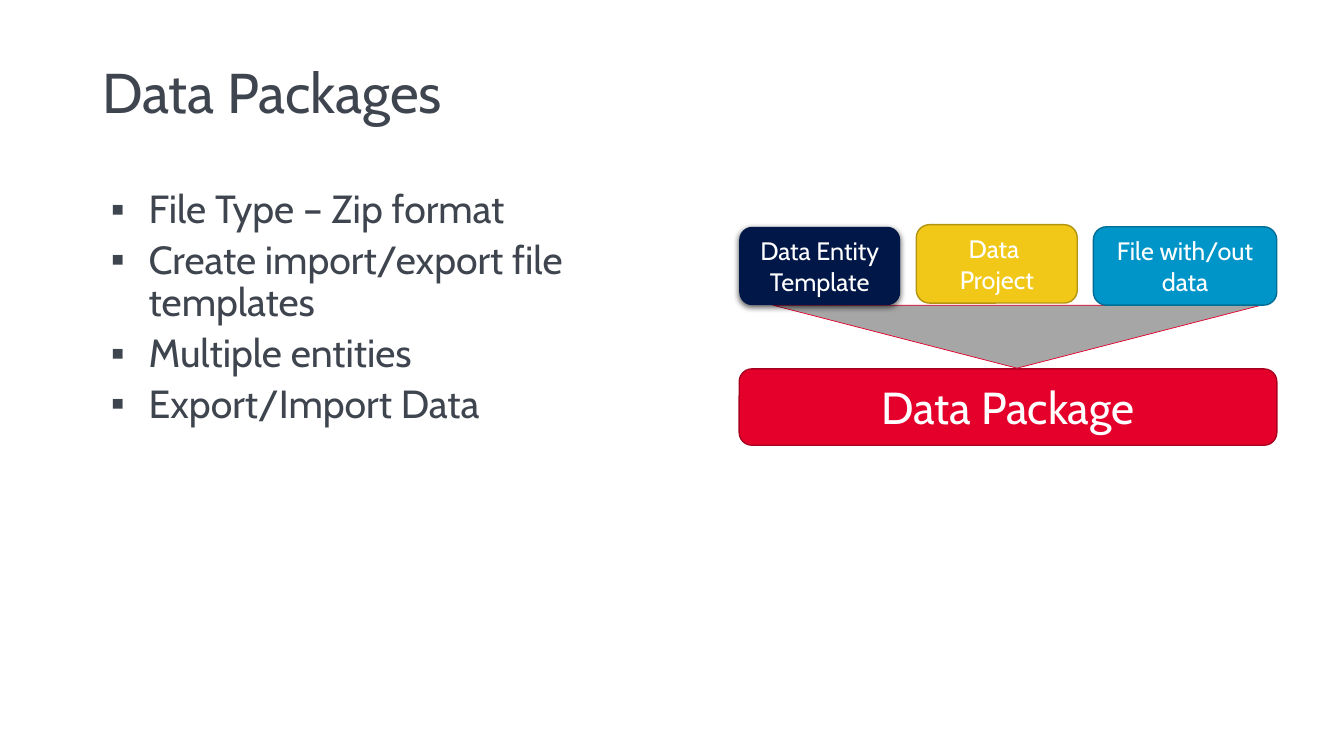
from dataclasses import dataclass

from lxml import etree
from pptx import Presentation
from pptx.dml.color import RGBColor
from pptx.enum.shapes import MSO_SHAPE
from pptx.enum.text import MSO_ANCHOR, MSO_AUTO_SIZE, PP_ALIGN
from pptx.oxml.ns import qn
from pptx.util import Pt

ROUNDED = MSO_SHAPE.ROUNDED_RECTANGLE
TRIANGLE = MSO_SHAPE.ISOSCELES_TRIANGLE
MIDDLE, TOP = MSO_ANCHOR.MIDDLE, MSO_ANCHOR.TOP
LEFT, CENTER = PP_ALIGN.LEFT, PP_ALIGN.CENTER
NO_AUTOSIZE = MSO_AUTO_SIZE.NONE


@dataclass(frozen=True)
class Theme:
    font: str = "Cabin"
    text: str = "3F454F"
    white: str = "FFFFFF"
    navy: str = "001748"
    yellow: str = "F2C818"
    yellow_edge: str = "B39412"
    blue: str = "0095C8"
    blue_edge: str = "006E94"
    red: str = "E4002B"
    red_edge: str = "A90020"
    gray: str = "A6A6A6"
    shadow: str = "000000"
    title_size: int = 40
    package_size: int = 32
    body_size: int = 28
    part_size: int = 18


class SlideBuilder:
    def __init__(self, slide, theme):
        self.slide = slide
        self.theme = theme
        self.diagram = slide.shapes.add_group_shape()

    def place(self, shape, left, top, width, height):
        shape.left, shape.top = Pt(left), Pt(top)
        shape.width, shape.height = Pt(width), Pt(height)

    def set_text(self, shape, lines, size, color, alignment, anchor, bullet=None):
        frame = shape.text_frame
        frame.text = "\n".join(lines)
        frame.word_wrap = True
        frame.auto_size = NO_AUTOSIZE
        frame.vertical_anchor = anchor
        for paragraph in frame.paragraphs:
            if bullet:
                self.add_bullet(paragraph, bullet)
            paragraph.alignment = alignment
            paragraph.font.name = self.theme.font
            paragraph.font.size = Pt(size)
            paragraph.font.color.rgb = RGBColor.from_string(color)

    def add_bullet(self, paragraph, bullet):
        paragraph.line_spacing = 0.9
        paragraph.space_before = Pt(0)
        paragraph.space_after = Pt(6)
        properties = paragraph._p.get_or_add_pPr()
        properties.set("marL", str(Pt(27)))
        properties.set("indent", str(-Pt(27)))
        etree.SubElement(properties, qn("a:buFont"), typeface="Arial")
        etree.SubElement(properties, qn("a:buChar"), char=bullet)

    def title(self, text, *box):
        shape = self.slide.shapes.title
        self.place(shape, *box)
        self.set_text(shape, [text], self.theme.title_size, self.theme.text, LEFT, MIDDLE)
        shape.text_frame.paragraphs[0].line_spacing = 0.9

    def bullets(self, items, *box):
        shape = self.slide.placeholders[1]
        self.place(shape, *box)
        self.set_text(shape, items, self.theme.body_size, self.theme.text, LEFT, TOP, "▪")

    def block(self, kind, box, fill, edge=None, edge_width=1):
        shape = self.diagram.shapes.add_shape(kind, *map(Pt, box))
        shape.shadow.inherit = False
        shape.fill.solid()
        shape.fill.fore_color.rgb = RGBColor.from_string(fill)
        if edge:
            shape.line.color.rgb = RGBColor.from_string(edge)
            shape.line.width = Pt(edge_width)
        else:
            shape.line.fill.background()
        return shape

    def label(self, lines, size, box, fill, edge=None):
        shape = self.block(ROUNDED, box, fill, edge)
        self.set_text(shape, lines, size, self.theme.white, CENTER, MIDDLE)
        return shape

    def funnel(self, *box):
        shape = self.block(TRIANGLE, box, self.theme.gray, self.theme.red, 0.5)
        shape.rotation = 180

    def drop_shadow(self, shape):
        effects = shape._element.spPr.find(qn("a:effectLst"))
        shadow = etree.SubElement(
            effects, qn("a:outerShdw"), blurRad=str(Pt(4.5)), dist=str(Pt(1.5)),
            dir="5400000", algn="ctr", rotWithShape="0")
        color = etree.SubElement(shadow, qn("a:srgbClr"), val=self.theme.shadow)
        etree.SubElement(color, qn("a:alpha"), val="63000")


def main():
    presentation = Presentation()
    presentation.slide_width, presentation.slide_height = Pt(960), Pt(540)
    theme = Theme()
    slide = presentation.slides.add_slide(presentation.slide_layouts[1])
    builder = SlideBuilder(slide, theme)

    builder.title("Data Packages", 66, 28.75, 828, 79)
    builder.bullets(
        ["File Type – Zip format", "Create import/export file templates",
         "Multiple entities", "Export/Import Data"],
        72, 132, 426, 284)

    left, width, gap = 528, 115, 11.5
    parts = [
        (["Data Entity Template"], 162, width, theme.navy, None),
        (["Data ", "Project"], 160.5, width, theme.yellow, theme.yellow_edge),
        (["File with/out data"], 162, 131, theme.blue, theme.blue_edge),
    ]
    builder.label(["Data Package"], theme.package_size,
                  (left, 263.5, 384, 54.5), theme.red, theme.red_edge)
    builder.funnel(552, 218, 349, 45)
    for index, (lines, top, part_width, fill, edge) in enumerate(parts):
        box = (left + index * (width + gap), top, part_width, 56)
        part = builder.label(lines, theme.part_size, box, fill, edge)
        if edge is None:
            builder.drop_shadow(part)

    presentation.save("out.pptx")


if __name__ == "__main__":
    main()
